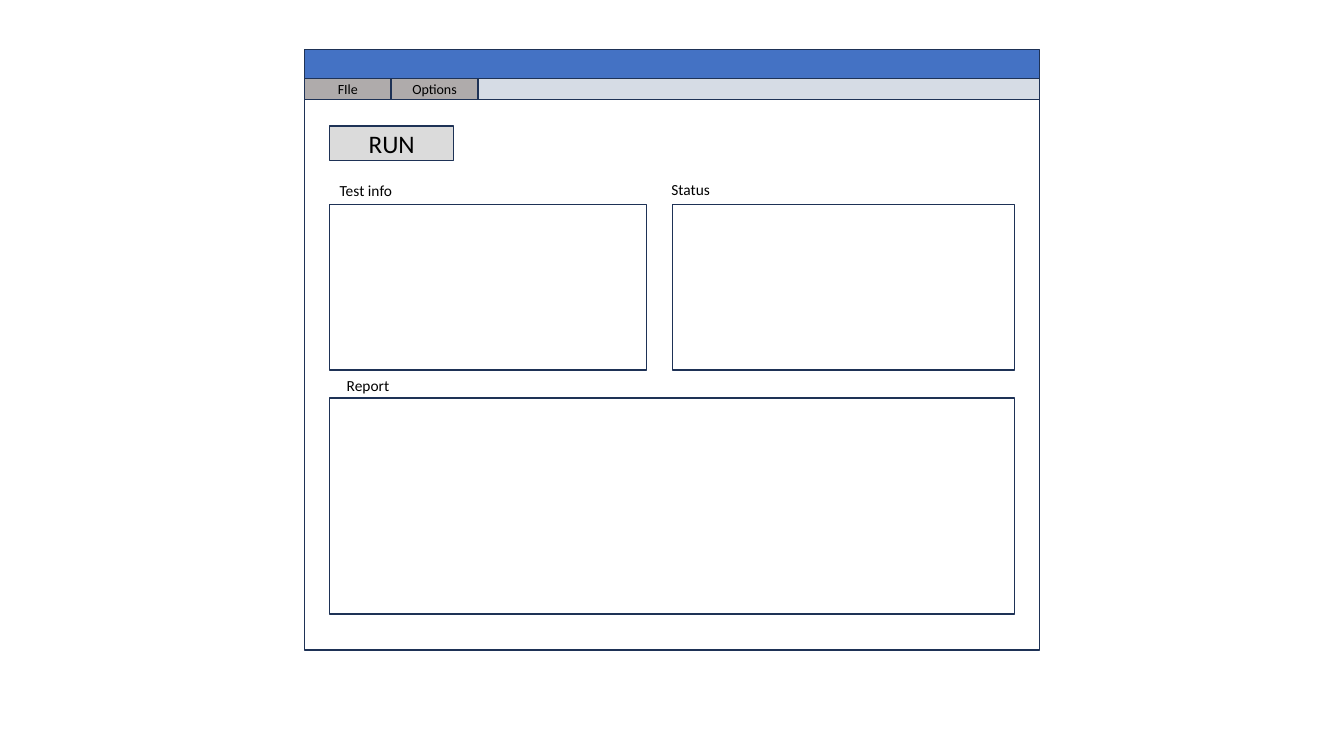
"""Builds a wireframe slide of a test runner window."""
from pptx import Presentation
from pptx import util as u
from pptx.dml.color import RGBColor
from pptx.enum import shapes, text

PX = 9144
LINE, WHITE, BLACK = "1E3256", "FFFFFF", "000000"
LEFT, WIDTH = 302, 729
INNER, INNER_W = 327, 679
MENU_Y, MENU_W, MENU_H = 78, 86, 21


def emu(*lengths):
    """Turn px lengths into EMU."""
    return [u.Emu(n * PX) for n in lengths]


def paint(fmt, color):
    """Give a fill a solid colour from a hex string."""
    fmt.solid()
    fmt.fore_color.rgb = RGBColor.from_string(color)


def write(tf, words, size, align):
    """Write one line of text in a text frame."""
    p = tf.paragraphs[0]
    p.alignment = align
    r = p.add_run()
    r.text = words
    for name, value in {"name": "Calibri", "size": u.Pt(size)}.items():
        setattr(r.font, name, value)
    paint(r.font.fill, BLACK)


def add_box(slide, box, fill=WHITE, words="", size=10):
    """Add an outlined rectangle with optional centred text."""
    sp = slide.shapes.add_shape(shapes.MSO_SHAPE.RECTANGLE, *emu(*box))
    sp.shadow.inherit = False
    paint(sp.fill, fill)
    paint(sp.line.fill, LINE)
    sp.line.width = u.Pt(1)
    if words:
        sp.text_frame.vertical_anchor = text.MSO_ANCHOR.MIDDLE
        write(sp.text_frame, words, size, text.PP_ALIGN.CENTER)


def add_label(slide, x, y, words):
    """Add the caption of a panel."""
    tf = slide.shapes.add_textbox(*emu(x, y, 123, 29)).text_frame
    formats = {"word_wrap": True, "auto_size": text.MSO_AUTO_SIZE.SHAPE_TO_FIT_TEXT}
    for name, value in formats.items():
        setattr(tf, name, value)
    write(tf, words, 11, text.PP_ALIGN.LEFT)


def add_window(slide):
    """Add the window frame, title bar and menu bar."""
    add_box(slide, (LEFT, 50, WIDTH, 595))
    add_box(slide, (LEFT, 49, WIDTH, 29), "4472C4")
    add_box(slide, (LEFT, MENU_Y, WIDTH, MENU_H), "D6DCE5")
    for i, words in enumerate(("FIle", "Options")):
        box = (LEFT + i * MENU_W, MENU_Y, MENU_W, MENU_H)
        add_box(slide, box, "AFABAB", words)


def main():
    """Build and save the slide."""
    prs = Presentation()
    prs.slide_width, prs.slide_height = emu(1333, 750)
    slide = prs.slides.add_slide(prs.slide_layouts[6])
    add_window(slide)
    add_box(slide, (INNER, 125, 123, 34), "DBDBDB", "RUN", 18)
    panels = (
        ("Test info", INNER, 175, (INNER, 203, 314, 164)),
        ("Status", 656, 174, (667, 203, 339, 164)),
        ("Report", 334, 368, (INNER, 395, INNER_W, 214)),
    )
    for words, x, y, box in panels:
        add_box(slide, box)
        add_label(slide, x, y, words)
    prs.save("out.pptx")


if __name__ == "__main__":
    main()
